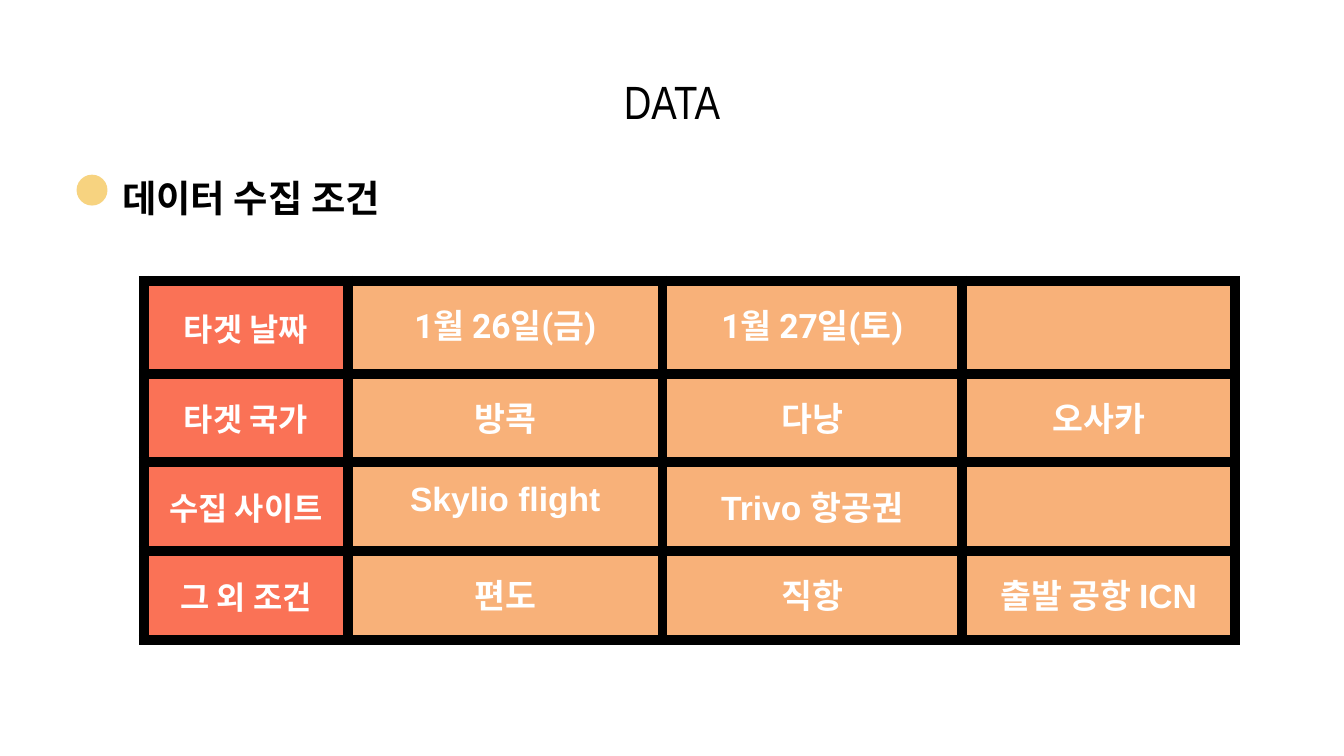
"""Build the slide that lists the data collection conditions."""
from pptx import Presentation
from pptx.dml.color import RGBColor
from pptx.enum import shapes, text
from pptx.oxml import parse_xml
from pptx.oxml.ns import nsdecls
from pptx.util import Inches, Pt

BLACK = RGBColor(0x00, 0x00, 0x00)
WHITE = RGBColor(0xFF, 0xFF, 0xFF)
CORAL = RGBColor(0xFA, 0x72, 0x56)
PEACH = RGBColor(0xF8, 0xB1, 0x79)
YELLOW = RGBColor(0xF7, 0xD3, 0x80)

COLUMN_WIDTHS = [1.52, 2.34, 2.23, 2.03]
ROW_HEIGHTS = [0.45, 0.69, 0.66, 0.66, 0.66]
BORDER_WIDTH = 6
CONDITIONS = [
    ["", "", "", ""],
    ["타겟 날짜", "1월 26일(금)", "1월 27일(토)", ""],
    ["타겟 국가", "방콕", "다낭", "오사카"],
    ["수집 사이트", "Skylio flight", "Trivo 항공권", ""],
    ["그 외 조건", "편도", "직항", "출발 공항 ICN"],
]
DATE_ROW = 1


def format_runs(paragraph, font_name, size, color, bold=False):
    """Apply one font to every run of a paragraph."""
    for run in paragraph.runs:
        run.font.name = font_name
        run.font.size = Pt(size)
        run.font.bold = bold
        run.font.color.rgb = color


def set_margins(target, left, top, right, bottom):
    """Set the inner margins of a text frame or cell in inches."""
    target.margin_left, target.margin_top = Inches(left), Inches(top)
    target.margin_right, target.margin_bottom = Inches(right), Inches(bottom)


def set_borders(cell, colors):
    """Draw the left, right, top and bottom borders of a cell."""
    properties = cell._tc.get_or_add_tcPr()
    for index, (side, color) in enumerate(zip("LRTB", colors)):
        properties.insert(index, parse_xml(
            f'<a:ln{side} {nsdecls("a")} w="{Pt(BORDER_WIDTH)}">'
            f'<a:solidFill><a:srgbClr val="{color}"/></a:solidFill></a:ln{side}>'))


def add_title(slide, words):
    """Place and format the slide title."""
    title = slide.shapes.title
    title.left, title.top = Inches(0.5), Inches(0.49)
    title.width, title.height = Inches(9), Inches(0.57)
    frame = title.text_frame
    frame.text = words
    frame.auto_size = text.MSO_AUTO_SIZE.NONE
    frame.vertical_anchor = text.MSO_ANCHOR.BOTTOM
    set_margins(frame, 0, 0.1, 0, 0.1)
    frame.paragraphs[0].alignment = text.PP_ALIGN.CENTER
    format_runs(frame.paragraphs[0], "Arial Narrow", 25, BLACK)


def add_heading(slide, words):
    """Add the section heading and its round marker."""
    box = slide.shapes.add_textbox(Inches(0.81), Inches(1.13), Inches(3.59), Inches(0.37))
    frame = box.text_frame
    frame.word_wrap = True
    frame.text = words
    set_margins(frame, 0.1, 0.22, 0.1, 0.2)
    format_runs(frame.paragraphs[0], "Arial Narrow", 20, BLACK, bold=True)
    marker = slide.shapes.add_shape(
        shapes.MSO_SHAPE.OVAL, Inches(0.57), Inches(1.3), Inches(0.23), Inches(0.23))
    marker.shadow.inherit = False
    marker.fill.solid()
    marker.fill.fore_color.rgb = YELLOW
    marker.line.fill.background()


def fill_cell(cell, words, fill, font_name, size, anchor, top_margin):
    """Write and format one table cell."""
    cell.fill.solid()
    cell.fill.fore_color.rgb = fill
    if words:
        cell.vertical_anchor = anchor
        set_margins(cell, 0.1, top_margin, 0.1, 0.05)
        cell.text_frame.text = words
        paragraph = cell.text_frame.paragraphs[0]
        paragraph.alignment = text.PP_ALIGN.CENTER
        format_runs(paragraph, font_name, size, WHITE, bold=True)


def add_conditions_table(slide):
    """Add the table of conditions below an open first row."""
    table = slide.shapes.add_table(
        len(ROW_HEIGHTS), len(COLUMN_WIDTHS), Inches(1.07), Inches(1.64),
        Inches(sum(COLUMN_WIDTHS)), Inches(sum(ROW_HEIGHTS))).table
    table.first_row = table.horz_banding = False
    for column, width in zip(table.columns, COLUMN_WIDTHS):
        column.width = Inches(width)
    for row, height in zip(table.rows, ROW_HEIGHTS):
        row.height = Inches(height)
    for row_index, row_words in enumerate(CONDITIONS):
        is_open = row_index == 0
        value_font = "Roboto" if row_index == DATE_ROW else "Arial"
        for column_index, words in enumerate(row_words):
            cell = table.cell(row_index, column_index)
            if column_index == 0:
                fill, style = CORAL, ("Arial Narrow", 17, text.MSO_ANCHOR.MIDDLE, 0.05)
            else:
                fill, style = PEACH, (value_font, 18, text.MSO_ANCHOR.TOP, 0.14)
            fill_cell(cell, words, WHITE if is_open else fill, *style)
            set_borders(cell, [WHITE] * 3 + [BLACK] if is_open else [BLACK] * 4)


def main():
    """Create and save the presentation."""
    presentation = Presentation()
    presentation.slide_width = Inches(10)
    presentation.slide_height = presentation.slide_width * 9 // 16
    slide = presentation.slides.add_slide(presentation.slide_layouts[5])
    add_title(slide, "DATA")
    add_conditions_table(slide)
    add_heading(slide, "데이터 수집 조건")
    presentation.save("out.pptx")


if __name__ == "__main__":
    main()
